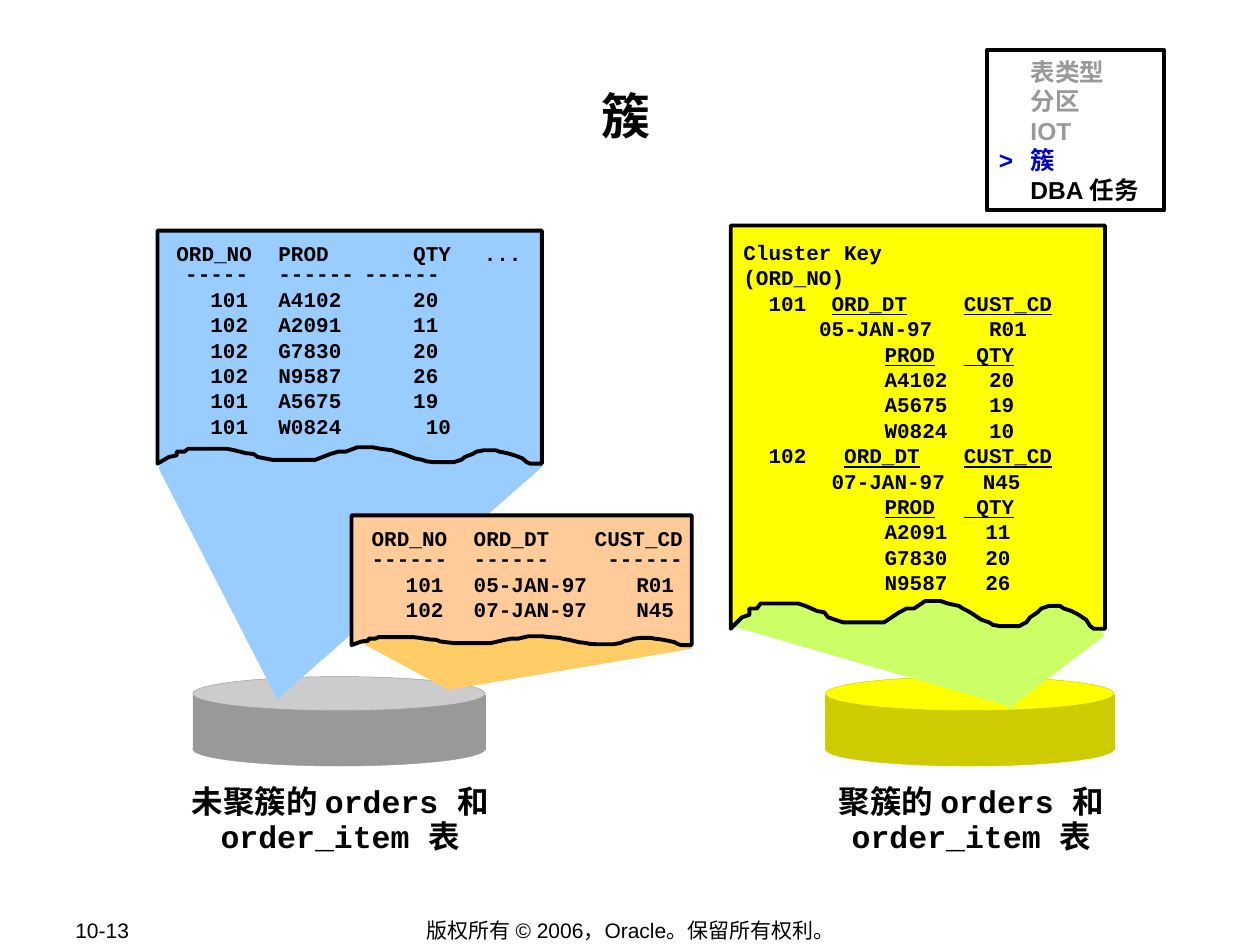
import pptx
import pptx.dml.color
import pptx.enum.shapes
import pptx.enum.text
import pptx.oxml
import pptx.oxml.ns
import pptx.util

RGBColor = pptx.dml.color.RGBColor
ALIGN = pptx.enum.text.PP_ALIGN
ANCHOR = pptx.enum.text.MSO_ANCHOR
SHAPE = pptx.enum.shapes.MSO_SHAPE

# The grid has 100 columns and 75 rows, all lengths are counted in its cells
COLUMNS, ROWS = 100, 75
CELL = pptx.util.Inches(0.1)

BLACK = RGBColor(0, 0, 0)
WHITE = RGBColor(255, 255, 255)
GREY = RGBColor(0x99, 0x99, 0x99)
LIGHT_GREY = RGBColor(0xCC, 0xCC, 0xCC)
MENU_BLUE = RGBColor(0, 0, 0xCC)
SKY = RGBColor(0x99, 0xCC, 0xFF)
PEACH = RGBColor(0xFF, 0xCC, 0x99)
ORANGE = RGBColor(0xFF, 0xCC, 0x66)
YELLOW = RGBColor(0xFF, 0xFF, 0)
OLIVE = RGBColor(0xCC, 0xCC, 0)
LIME = RGBColor(0xCC, 0xFF, 0x66)

SANS, MONO, CHINESE = "Arial", "Courier New", "Noto Sans CJK SC"

# Torn paper edge, right to left: percent of width, percent of tear depth
TORN_EDGE = [
    (100, 100), (97, 100), (96, 90), (95, 68), (93, 50), (91, 36), (89, 27),
    (88, 18), (85, 18), (83, 27), (82, 41), (80, 59), (79, 77), (77, 91),
    (72, 91), (70, 86), (69, 77), (67, 68), (65, 50), (64, 41), (62, 27),
    (61, 18), (58, 9), (56, 0), (52, 0), (51, 9), (49, 27), (47, 27),
    (45, 41), (44, 50), (42, 68), (41, 77), (30, 77), (28, 68), (26, 59),
    (25, 41), (23, 36), (20, 18), (18, 9), (8, 9), (7, 27), (5, 27),
    (5, 50), (3, 59), (1, 86), (0, 100)]


def cells(count):
    return pptx.util.Emu(round(count * CELL))


def paint(shape, fill, line=None, weight=0.25):
    shape.shadow.inherit = False
    shape.fill.solid()
    shape.fill.fore_color.rgb = fill
    if line is None:
        shape.line.fill.background()
    else:
        shape.line.color.rgb = line
        shape.line.width = pptx.util.Pt(weight)


def add_preset(slide, kind, box, fill, line, weight=0.25):
    shape = slide.shapes.add_shape(kind, *map(cells, box))
    paint(shape, fill, line, weight)
    return shape


def add_outline(slide, points, fill, line=None, weight=2.25):
    points = [(cells(x), cells(y)) for x, y in points]
    builder = slide.shapes.build_freeform(*points[0], scale=1.0)
    builder.add_line_segments(points[1:], close=True)
    paint(builder.convert_to_shape(), fill, line, weight)


def add_sheet(slide, left, top, width, height, tear, fill):
    """Sheet of paper whose lower edge is torn."""
    edge = [(left + width * x / 100, top + height - tear + tear * y / 100)
            for x, y in TORN_EDGE]
    add_outline(slide, [(left, top), (left + width, top)] + edge, fill, BLACK)


def add_disk(slide, left, width, top_color, side_color):
    for kind, top, height, color in [(SHAPE.RECTANGLE, 55.2, 4.3, side_color),
                                     (SHAPE.OVAL, 53.7, 2.7, top_color),
                                     (SHAPE.OVAL, 58.1, 2.7, side_color)]:
        add_preset(slide, kind, (left, top, width, height), color, side_color)


def set_tabs(paragraph, stops):
    """Add tab stops; a stop is a position, or a position and an alignment."""
    tab_list = pptx.oxml.parse_xml(
        "<a:tabLst %s/>" % pptx.oxml.ns.nsdecls("a"))
    for stop in stops:
        position, side = stop if isinstance(stop, tuple) else (stop, "l")
        tab = tab_list.makeelement(pptx.oxml.ns.qn("a:tab"), {
            "pos": str(cells(position)), "algn": side})
        tab_list.append(tab)
    paragraph._p.get_or_add_pPr().append(tab_list)


def write_text(shape, rows, size=12, font=MONO, color=BLACK, bold=True,
               align=ALIGN.LEFT, anchor=ANCHOR.TOP, spacing=None,
               inset=(0.9, 0.5), wrap=True):
    """Each row is (runs, tab stops, points before); a run is (text, changes)."""
    frame = shape.text_frame
    frame.word_wrap = wrap
    frame.vertical_anchor = anchor
    frame.margin_left = frame.margin_right = cells(inset[0])
    frame.margin_top = frame.margin_bottom = cells(inset[1])
    for index, (runs, stops, before) in enumerate(rows):
        paragraph = frame.add_paragraph() if index else frame.paragraphs[0]
        paragraph.alignment = align
        if spacing:
            paragraph.line_spacing = spacing
        if index and before:
            paragraph.space_before = pptx.util.Pt(before)
        if stops:
            set_tabs(paragraph, stops)
        for text, changes in runs:
            run = paragraph.add_run()
            run.text = text
            run.font.size = pptx.util.Pt(size)
            run.font.bold = bold
            run.font.name = changes.get("font", font)
            run.font.color.rgb = changes.get("color", color)
            if changes.get("underline"):
                run.font.underline = True
            east_asian = run._r.get_or_add_rPr().makeelement(
                pptx.oxml.ns.qn("a:ea"), {"typeface": CHINESE})
            run.font._element.find(
                pptx.oxml.ns.qn("a:latin")).addnext(east_asian)


def add_text(slide, box, rows, **text_format):
    shape = slide.shapes.add_textbox(*map(cells, box))
    write_text(shape, rows, **text_format)


def plain(text, stops=(), before=3):
    return [(text, {})], stops, before


def cluster_rows(key, date, customer, items, key_stops, date_stops, item_stops):
    """Listing of one cluster key: its order, then the order's items."""
    underline = {"underline": True}
    yield [("\t" + key + "\t", {}), ("ORD_DT\tCUST_CD", underline)], key_stops, 3
    yield plain("\t%s\t%s" % (date, customer), date_stops)
    yield [("\t", {}), ("PROD\t QTY", underline)], (11.2, 17.5), 3
    for product, quantity in items:
        yield plain("\t%s\t%s" % (product, quantity), item_stops)


def add_caption(slide, left, width, opening):
    runs = [(opening, {"font": CHINESE}), ("orders ", {}),
            ("和 ", {"font": CHINESE}), ("order_item ", {}),
            ("表", {"font": CHINESE})]
    add_text(slide, (left, 61.8, width, 6.3), [(runs, (), 0)], size=18,
             align=ALIGN.CENTER, spacing=pptx.util.Pt(20))


def add_menu(slide):
    items = [("\t表类型", GREY, CHINESE), ("\t分区", GREY, CHINESE),
             ("\tIOT", GREY, SANS), (">\t簇", MENU_BLUE, SANS),
             ("\tDBA 任务", BLACK, SANS)]
    rows = [([(text, {"color": color, "font": font})], (2.5,), 0)
            for text, color, font in items]
    box = add_preset(slide, SHAPE.RECTANGLE, (78.3, 4, 14.1, 12.7),
                     WHITE, BLACK, 2.25)
    write_text(box, rows, size=14, spacing=pptx.util.Pt(16.9), inset=(1, 0.5))


def main():
    presentation = pptx.Presentation()
    presentation.slide_width = cells(COLUMNS)
    presentation.slide_height = cells(ROWS)
    slide = presentation.slides.add_slide(presentation.slide_layouts[6])

    # Footer and title
    footer = dict(font=SANS, bold=False, anchor=ANCHOR.MIDDLE, inset=(1, 0.5))
    add_text(slide, (5, 72.8, 10.6, 2), [plain("10-13")], **footer)
    add_text(slide, (27.6, 72.8, 44.9, 2.1),
             [plain("版权所有 © 2006，Oracle。保留所有权利。")],
             align=ALIGN.CENTER, **footer)
    add_text(slide, (9.7, 5.8, 80, 9.6), [plain("簇")], size=28, font=SANS,
             align=ALIGN.CENTER, spacing=pptx.util.Pt(40), inset=(0.1, 0.1))

    # Disks and their captions
    add_disk(slide, 65.5, 22.9, YELLOW, OLIVE)
    add_disk(slide, 15.3, 23.2, LIGHT_GREY, GREY)
    add_caption(slide, 62.1, 30, "聚簇的 ")
    add_caption(slide, 9.4, 35.2, "未聚簇的 ")

    # Clustered listing
    add_outline(slide, [(80.9, 56.3), (58.1, 49.7), (58.1, 18), (87.6, 18),
                        (87.6, 50.5), (80, 56.3)], LIME)
    add_sheet(slide, 58, 17.9, 29.7, 32, 2.2, YELLOW)
    rows = [plain("Cluster Key"), plain("(ORD_NO)")]
    rows += cluster_rows(
        "101", "05-JAN-97", "R01",
        [("A4102", 20), ("A5675", 19), ("W0824", 10)],
        (2, 7, 17.5), (6, 19.5), (11.2, 19.5))
    rows += cluster_rows(
        "102", "07-JAN-97", "N45",
        [("A2091", 11), ("G7830", 20), ("N9587", 26)],
        (2, 8, 17.5), (7, 19), (11.2, 19.2))
    add_text(slide, (58.1, 18.9, 29.8, 28.7), rows, spacing=0.8)

    # Funnels of the two separate tables
    add_outline(slide, [(22, 55.5), (12.6, 37.2), (13.5, 34.1), (41.9, 34.3),
                        (43.1, 37)], SKY)
    add_outline(slide, [(35.7, 54.8), (28.3, 50.8), (28.3, 41), (54.9, 41),
                        (54.9, 51.5), (35.3, 54.8)], ORANGE)

    # Orders
    add_sheet(slide, 27.9, 40.9, 27, 10.3, 0.7, PEACH)
    rows = [plain("ORD_NO\tORD_DT\tCUST_CD", (8.1, 17.7)),
            plain("------\t------\t------", (8.1, 18.7), 0)]
    rows += [plain("\t" + row, ((5.7, "r"), 8.1, 21))
             for row in ("101\t05-JAN-97\tR01", "102\t07-JAN-97\tN45")]
    add_text(slide, (28.6, 41.6, 28, 10.1), rows, spacing=0.8)

    # Order items
    add_sheet(slide, 12.5, 18.3, 30.5, 18.5, 1.3, SKY)
    rows = [plain("ORD_NO\tPROD\tQTY\t...", (8.1, 18.8, 24.4)),
            plain("\t-----\t------\t------", ((5.7, "r"), 8.1, 14.9), 0)]
    items = [(101, "A4102", 20), (102, "A2091", 11), (102, "G7830", 20),
             (102, "N9587", 26), (101, "A5675", 19), (101, "W0824", 10)]
    for order, product, quantity in items:
        stop = 19.8 if product == "W0824" else 18.8
        rows.append(plain("\t%s\t%s\t%s" % (order, product, quantity),
                          ((5.7, "r"), 8.1, stop)))
    add_text(slide, (13.1, 19, 30, 16.2), rows, spacing=0.8)

    # Chapter menu
    add_menu(slide)

    presentation.save("out.pptx")


if __name__ == "__main__":
    main()
